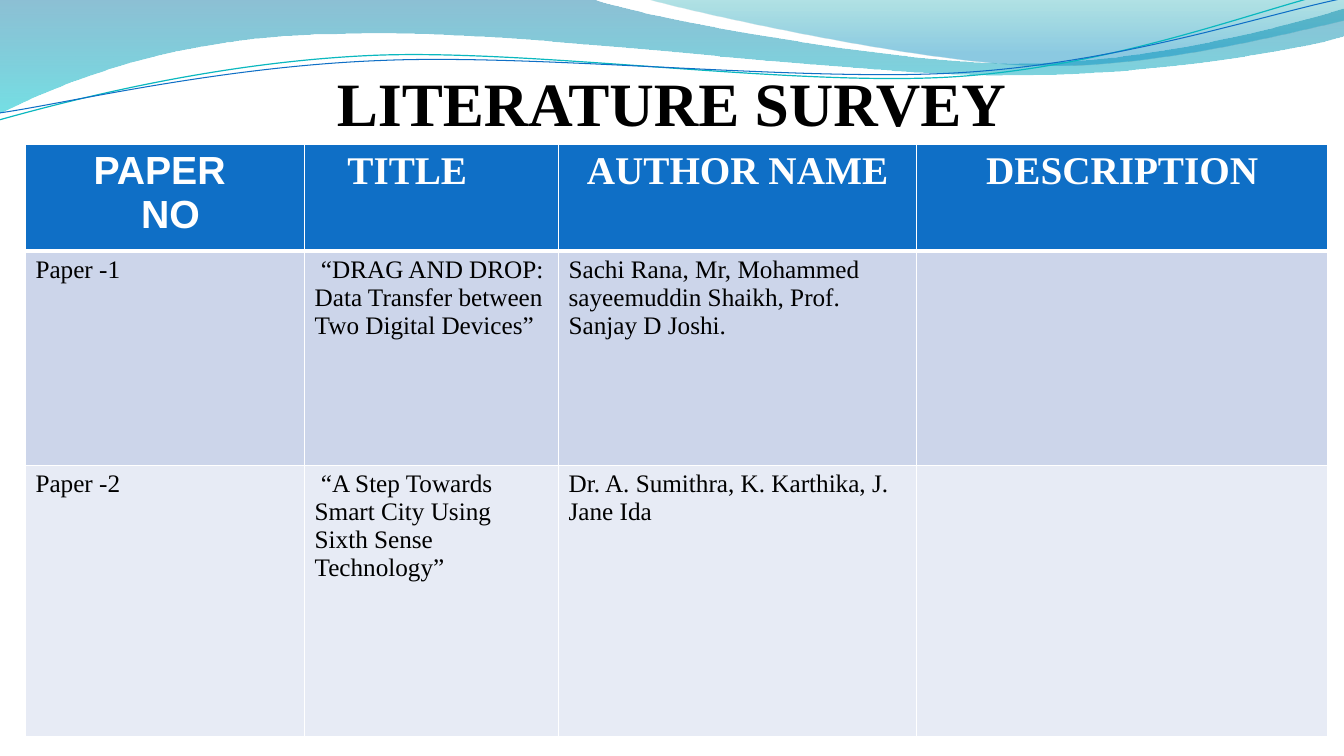
from lxml import etree
from pptx import Presentation
from pptx.dml.color import RGBColor
from pptx.enum.text import MSO_ANCHOR, MSO_AUTO_SIZE, PP_ALIGN
from pptx.oxml.ns import qn
from pptx.util import Pt

CENTER, LEFT = PP_ALIGN.CENTER, PP_ALIGN.LEFT
MIDDLE = MSO_ANCHOR.MIDDLE
NO_AUTOFIT = MSO_AUTO_SIZE.NONE

SLIDE_SIZE = (960, 540)
SERIF, SANS = "Times New Roman", "Arial"
BLACK, WHITE, BLUE = "000000", "FFFFFF", "0F6FC6"

TITLE = "LITERATURE SURVEY"
TITLE_BOX = (44.6, 42.5, 870.5, 60.5)

# Heading, font, alignment, extra left indent
HEADINGS = [
    ("PAPER \n NO", SANS, CENTER, 0),
    ("TITLE", SERIF, LEFT, 23.4),
    ("AUTHOR NAME", SERIF, CENTER, 0),
    ("DESCRIPTION", SERIF, CENTER, 0),
]
PAPERS = [
    ("Paper -1",
     " “DRAG AND DROP: Data Transfer between Two Digital Devices”",
     "Sachi Rana, Mr, Mohammed sayeemuddin Shaikh, Prof. Sanjay D Joshi.",
     ""),
    ("Paper -2",
     " “A Step Towards Smart City Using Sixth Sense Technology”",
     "Dr. A. Sumithra, K. Karthika, J. Jane Ida",
     ""),
]
TABLE_LEFT, TABLE_TOP = 18.2, 103.2
COLUMN_WIDTHS = (199.4, 181.4, 255.6, 293.8)
ROW_HEIGHTS = (76.2, 153, 193.6)
PAPER_FILLS = ("CCD5EA", "E7EBF5")
CELL_INSET = 7.2
THIN, THICK = 1, 3

# Each outline: a start point, then straight (1 point) or Bézier (3 points) segments
BACK_WAVE = ((0, -0.7), [
    ((422.6, -0.7),),
    ((456.5, 12.2), (637.2, 45.4), (727.9, 45.4)),
    ((819.4, 45.4), (920.2, 18.7), (959.8, 6.5)),
    ((961.2, 25.9),),
    ((943.9, 31.7), (835.2, 54.7), (715.7, 54)),
    ((596.9, 54), (366.5, 20.2), (247, 24.5)),
    ((123.1, 25.2), (43.9, 59.8), (-0.7, 81.4)),
])
RIGHT_WAVE = ((460.1, -0.7), [
    ((488.9, 7.9), (654.5, 44.6), (738, 46.8)),
    ((821.5, 49.7), (923, 23), (959.8, 15.1)),
    ((959.8, 0),),
])
TEAL_STRAND = ((-0.7, 85.7), [
    ((46.1, 72.7), (151.9, 44.6), (265.7, 39.6)),
    ((379.4, 34.6), (568.8, 62.6), (684, 54.7)),
    ((799.2, 46.8), (901.4, 5.8), (958.3, -7.2)),
])
BLUE_STRAND = ((0, 80.6), [
    ((45.4, 74.2), (157, 47.5), (272.2, 43.2)),
    ((386.6, 38.2), (573.1, 59), (687.6, 51.8)),
    ((802.8, 44.6), (903.6, 10.1), (960.5, -1.4)),
])
# Gradient stops: position, colour, opacity in percent
WAVES = [
    (BACK_WAVE, [(0, "0074A1", 45), (1, "00C6CF", 55)]),
    (RIGHT_WAVE, [(0, "00A1A9", 30), (0.8, "008BBF", 45)]),
]
STRANDS = [(TEAL_STRAND, "0AB8BF", 0.85), (BLUE_STRAND, BLUE, 0.75)]
FIRST_BACKDROP_ID = 101


def rgb(color):
    return RGBColor.from_string(color)


def add_outline(slide, outline, closed):
    """Build a freeform through the segment ends, then bend its Bézier segments."""
    (start_x, start_y), segments = outline
    builder = slide.shapes.build_freeform(Pt(start_x), Pt(start_y))
    ends = [(Pt(x), Pt(y)) for x, y in (segment[-1] for segment in segments)]
    builder.add_line_segments(ends, close=closed)
    shape = builder.convert_to_shape()
    shape.shadow.inherit = False
    for line, segment in zip(list(shape.element.iter(qn("a:lnTo"))), segments):
        if len(segment) == 3:
            curve = etree.Element(qn("a:cubicBezTo"))
            for x, y in segment:
                etree.SubElement(curve, qn("a:pt"),
                                 x=str(Pt(x) - shape.left), y=str(Pt(y) - shape.top))
            line.getparent().replace(line, curve)
    return shape


def add_wave(slide, outline, stops):
    wave = add_outline(slide, outline, True)
    wave.line.fill.background()
    wave.fill.gradient()
    wave.fill.gradient_angle = 270
    for stop, (position, color, _) in zip(wave.fill.gradient_stops, stops):
        stop.position = position
        stop.color.rgb = rgb(color)
    for node, (_, _, opacity) in zip(wave.element.iter(qn("a:srgbClr")), stops):
        etree.SubElement(node, qn("a:alpha"), val=str(opacity * 1000))
    return wave


def add_strand(slide, outline, color, width):
    strand = add_outline(slide, outline, False)
    strand.fill.background()
    strand.line.color.rgb = rgb(color)
    strand.line.width = Pt(width)
    return strand


def add_backdrop(slide):
    """Draw the waves and strands and hand them to the slide's layout."""
    backdrop = [add_wave(slide, *wave) for wave in WAVES]
    backdrop += [add_strand(slide, *strand) for strand in STRANDS]
    layout_tree = slide.slide_layout.shapes.element
    for shape_id, shape in enumerate(backdrop, start=FIRST_BACKDROP_ID):
        next(shape.element.iter(qn("p:cNvPr"))).set("id", str(shape_id))
        layout_tree.append(shape.element)


def format_text(frame, font, size, color, bold, align):
    for paragraph in frame.paragraphs:
        paragraph.alignment = align
        for run in paragraph.runs:
            run.font.name = font
            run.font.size = Pt(size)
            run.font.bold = bold
            run.font.color.rgb = rgb(color)


def set_borders(cell, top, bottom):
    properties = cell._tc.get_or_add_tcPr()
    for side, width in (("L", THIN), ("R", THIN), ("T", top), ("B", bottom)):
        border = etree.SubElement(properties, qn("a:ln" + side), w=str(Pt(width)))
        fill = etree.SubElement(border, qn("a:solidFill"))
        etree.SubElement(fill, qn("a:srgbClr"), val=WHITE)


def fill_cell(cell, text, color, top, bottom):
    cell.text_frame.text = text
    set_borders(cell, top, bottom)
    cell.fill.solid()
    cell.fill.fore_color.rgb = rgb(color)


def add_survey_table(slide):
    table = slide.shapes.add_table(
        len(ROW_HEIGHTS), len(COLUMN_WIDTHS), Pt(TABLE_LEFT), Pt(TABLE_TOP),
        Pt(sum(COLUMN_WIDTHS)), Pt(sum(ROW_HEIGHTS))).table
    table.horz_banding = False
    for column, width in zip(table.columns, COLUMN_WIDTHS):
        column.width = Pt(width)
    for row, height in zip(table.rows, ROW_HEIGHTS):
        row.height = Pt(height)

    for col, (heading, font, align, indent) in enumerate(HEADINGS):
        cell = table.cell(0, col)
        fill_cell(cell, heading, BLUE, THIN, THICK)
        cell.margin_left = Pt(CELL_INSET + indent)
        format_text(cell.text_frame, font, 28, WHITE, True, align)

    for row, (paper, color) in enumerate(zip(PAPERS, PAPER_FILLS), start=1):
        for col, text in enumerate(paper):
            cell = table.cell(row, col)
            fill_cell(cell, text, color, THICK if row == 1 else THIN, THIN)
            format_text(cell.text_frame, SERIF, 18, BLACK, False, LEFT)


def place_title(slide):
    title = slide.shapes.title
    title.left, title.top, title.width, title.height = map(Pt, TITLE_BOX)
    frame = title.text_frame
    frame.text = TITLE
    frame.auto_size = NO_AUTOFIT
    frame.vertical_anchor = MIDDLE
    format_text(frame, SERIF, 44, BLACK, True, CENTER)
    title.element.getparent().append(title.element)  # in front of the table


def main():
    deck = Presentation()
    deck.slide_width, deck.slide_height = map(Pt, SLIDE_SIZE)
    slide = deck.slides.add_slide(deck.slide_layouts[5])
    add_backdrop(slide)
    add_survey_table(slide)
    place_title(slide)
    deck.save("out.pptx")


if __name__ == "__main__":
    main()
